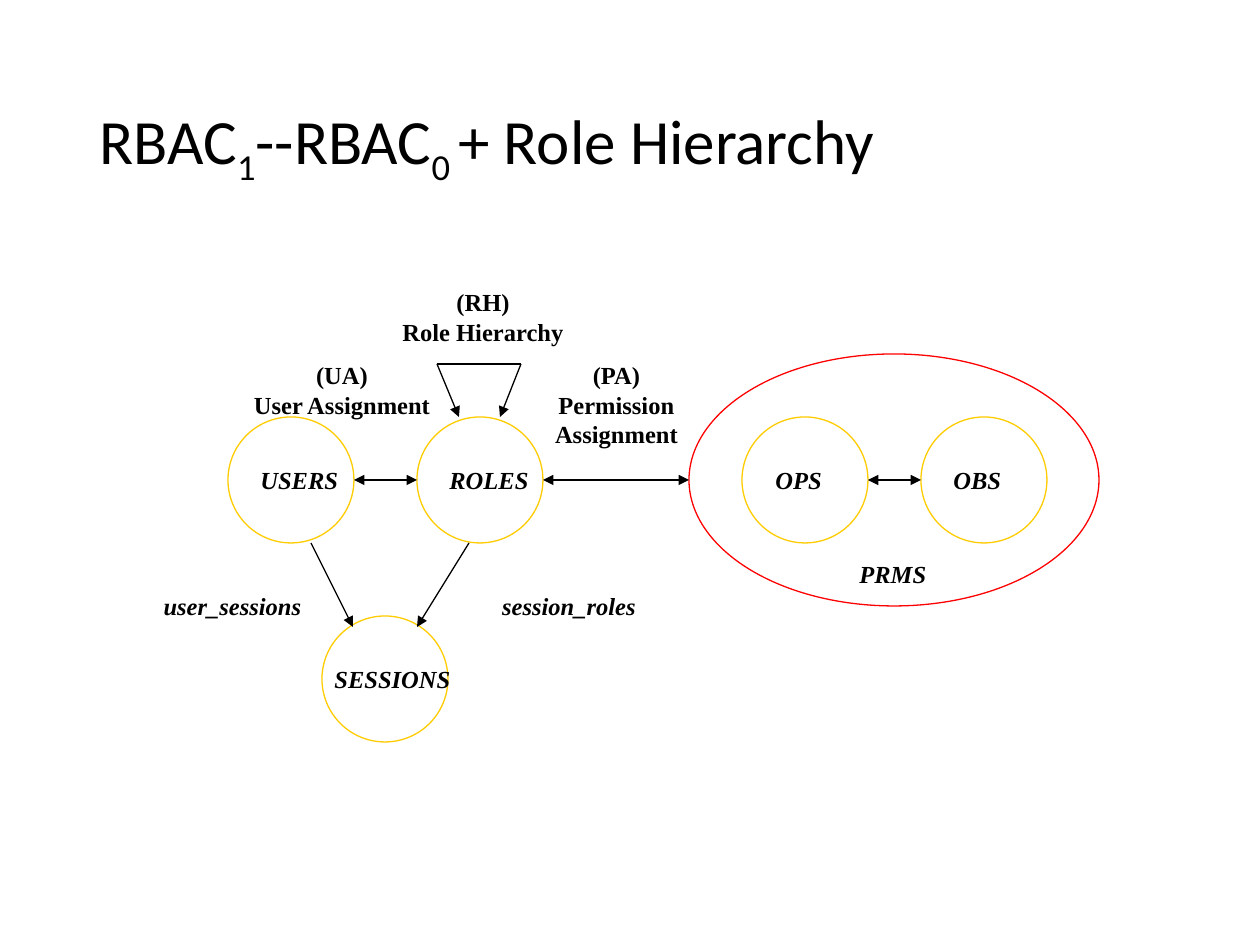
import pptx
import pptx.util
import pptx.dml.color
import pptx.enum.shapes
import pptx.enum.text
import pptx.oxml.ns
from lxml import etree

SCALE = 914400 / 126
DIAMETER = 126
ALIGN = pptx.enum.text.PP_ALIGN


def px(n):
    return pptx.util.Emu(round(n * SCALE))


def color(value):
    return pptx.dml.color.RGBColor.from_string(value)


def format_run(r, font, size, bold=False, italic=False):
    r.font.name = font
    r.font.size = pptx.util.Pt(size)
    r.font.bold = bold
    r.font.italic = italic
    r.font.color.rgb = color("000000")


def add_title(s, x, y, w, h):
    sp = s.shapes.title
    sp.left, sp.top, sp.width, sp.height = px(x), px(y), px(w), px(h)
    tf = sp.text_frame
    tf.vertical_anchor = pptx.enum.text.MSO_ANCHOR.MIDDLE
    p = tf.paragraphs[0]
    p.alignment = ALIGN.LEFT
    p.line_spacing = 0.9
    parts = [("RBAC", 0), ("1", -25000), ("--RBAC", 0), ("0 ", -25000), ("+ Role Hierarchy", 0)]
    for text, baseline in parts:
        r = p.add_run()
        r.text = text
        format_run(r, "Calibri", 36)
        if baseline:
            r.font._element.set("baseline", str(baseline))


def add_ellipse(group, x, y, w, h, line):
    sp = group.shapes.add_shape(pptx.enum.shapes.MSO_SHAPE.OVAL, px(x), px(y), px(w), px(h))
    sp.shadow.inherit = False
    sp.fill.background()
    sp.line.color.rgb = color(line)
    sp.line.width = pptx.util.Pt(0.75)


def add_label(s, text, x, y, w, h, align=ALIGN.CENTER, italic=False, wrap=False):
    tf = s.shapes.add_textbox(px(x), px(y), px(w), px(h)).text_frame
    tf.word_wrap = wrap
    tf.auto_size = pptx.enum.text.MSO_AUTO_SIZE.SHAPE_TO_FIT_TEXT
    tf.text = text
    for p in tf.paragraphs:
        p.alignment = align
        for r in p.runs:
            format_run(r, "Times New Roman", 14, True, italic)


def add_line(s, x1, y1, x2, y2, ends):
    c = s.shapes.add_connector(
        pptx.enum.shapes.MSO_CONNECTOR.STRAIGHT, px(x1), px(y1), px(x2), px(y2))
    c.line.color.rgb = color("000000")
    c.line.width = pptx.util.Pt(0.75)
    ln = c.line._get_or_add_ln()
    for end in ends:
        etree.SubElement(ln, pptx.oxml.ns.qn("a:" + end), type="triangle")
    etree.SubElement(c._element.spPr, pptx.oxml.ns.qn("a:effectLst"))


def add_diagram(s, x, y):
    circles = [
        ("OBS", 771, 136, 20, 73),
        ("OPS", 592, 136, 21, 72),
        ("SESSIONS", 172, 335, 0, 142),
        ("ROLES", 267, 136, 20, 105),
        ("USERS", 78, 136, 20, 103),
    ]
    group = s.shapes.add_group_shape()
    add_ellipse(group, x + 539, y + 73, 410, 252, "FF0000")
    for name, cx, cy, indent, width in circles:
        add_ellipse(group, x + cx, y + cy, DIAMETER, DIAMETER, "FFCC00")
    for name, cx, cy, indent, width in circles:
        add_label(s, name, x + cx + indent, y + cy + 42, width, 43, ALIGN.LEFT, True)
    add_label(s, "PRMS", x + 697, y + 272, 93, 43, ALIGN.LEFT, True)

    add_label(s, "user_sessions", x, y + 304, 165, 43, italic=True)
    add_label(s, "session_roles", x + 339, y + 304, 160, 43, italic=True)
    add_label(s, "(RH)\nRole Hierarchy", x + 239, y, 188, 72)
    add_label(s, "(UA)\nUser Assignment", x + 88, y + 73, 208, 72, wrap=True)
    add_label(s, "(PA)\nPermission\nAssignment", x + 392, y + 73, 149, 102)

    tail, both = ["tailEnd"], ["headEnd", "tailEnd"]
    lines = [
        (161, 262, 203, 346, tail),
        (319, 262, 267, 346, tail),
        (287, 83, 309, 136, tail),
        (371, 83, 350, 136, tail),
        (287, 83, 371, 83, []),
        (204, 199, 267, 199, both),
        (393, 199, 539, 199, both),
        (718, 199, 771, 199, both),
    ]
    for x1, y1, x2, y2, ends in lines:
        add_line(s, x + x1, y + y1, x + x2, y + y2, ends)


def main():
    prs = pptx.Presentation()
    prs.slide_width, prs.slide_height = px(1260), px(945)
    s = prs.slides.add_slide(prs.slide_layouts[5])
    add_title(s, 87, 50, 1086, 183)
    add_diagram(s, 150, 281)
    prs.save("out.pptx")


if __name__ == "__main__":
    main()
